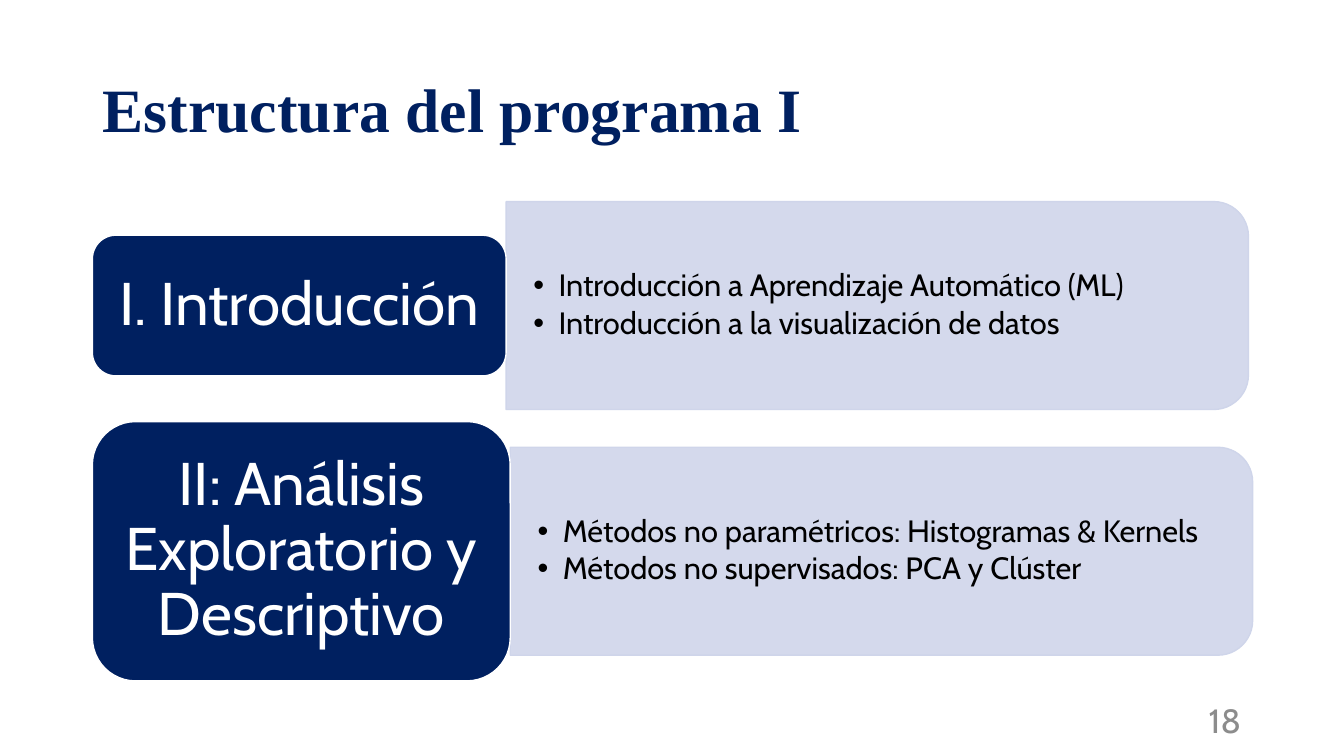
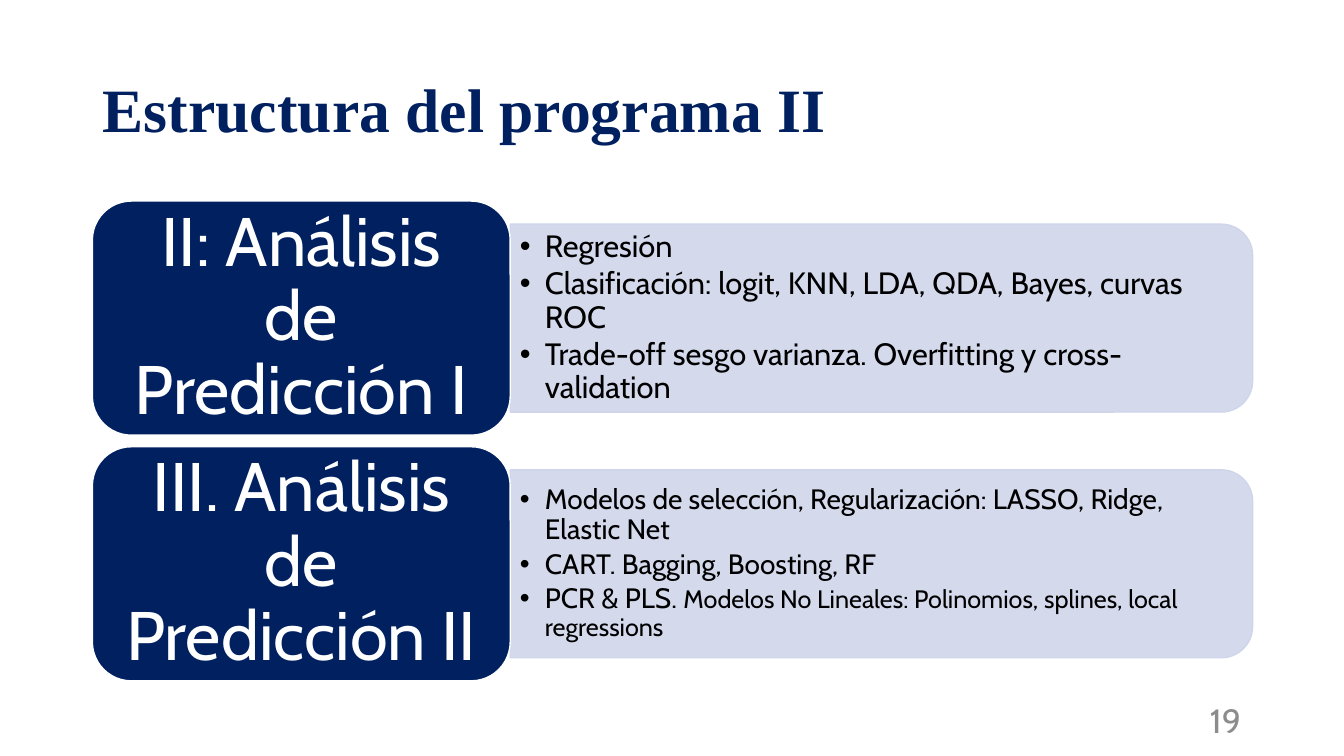
from pptx import Presentation
from pptx.dml.color import RGBColor
from pptx.enum.shapes import MSO_SHAPE as Preset
from pptx.enum.text import MSO_ANCHOR as Anchor, MSO_AUTO_SIZE as AutoSize, PP_ALIGN as Align
from pptx.util import Pt

EMU_PER_PX = 9525
WIDTH, HEIGHT = 1280, 720

# Shared style
NAVY, WHITE, BLACK, GREY = "002060", "FFFFFF", "000000", "8C8C8C"
PANEL_FILL, PANEL_LINE = "D4D9EC", "CFD5EA"
TITLE_FONT, BODY_FONT = "Times New Roman", "Cabin"

# Shared grid
LEFT = 88
PANEL_WIDTH = 707
LIST_INDENT = 24

# Each section: label, label width and height, vertical centre, bullets and their size.
# A bullet is a list of (text, size) runs or a plain string.
SLIDES = [
    {
        "title": "Estructura del programa I", "number": "18",
        "panel_height": 198, "label_size": 43, "label_insets": (17, 9), "list_insets": (26, 13),
        "sections": [
            ("I. Introducción", 394, 134, 291, 22, [
                "Introducción a Aprendizaje Automático (ML)",
                "Introducción a la visualización de datos"]),
            ("II: Análisis Exploratorio y Descriptivo", 398, 247, 525, 22, [
                "Métodos no paramétricos: Histogramas & Kernels",
                "Métodos no supervisados: PCA y Clúster"]),
        ],
    },
    {
        "title": "Estructura del programa II", "number": "19",
        "panel_height": 179, "label_size": 49, "label_insets": (19, 10), "list_insets": (9, 5),
        "sections": [
            ("II: Análisis de Predicción I", 398, 223, 303, 22, [
                "Regresión",
                "Clasificación: logit, KNN, LDA, QDA, Bayes, curvas ROC",
                "Trade-off sesgo varianza. Overfitting y cross-validation"]),
            ("III. Análisis de Predicción II", 398, 223, 537, 20, [
                "Modelos de selección, Regularización: LASSO, Ridge, Elastic Net",
                "CART. Bagging, Boosting, RF",
                [("PCR & PLS. ", 20),
                 ("Modelos No Lineales: Polinomios, splines, local regressions", 18)]]),
        ],
    },
]


def px(value):
    return round(value * EMU_PER_PX)


def color(hex_string):
    return RGBColor.from_string(hex_string)


def place(shape, left, top, width, height):
    shape.left, shape.top = px(left), px(top)
    shape.width, shape.height = px(width), px(height)


def write(shape, paragraphs, *, size, ink, font=BODY_FONT, bold=False, align=Align.LEFT,
          insets=(10, 5), line_spacing=0.9, space_after=0, indent=0):
    """Fill a shape with formatted paragraphs, centred vertically."""
    frame = shape.text_frame
    frame.word_wrap = True
    frame.auto_size = AutoSize.NONE
    frame.vertical_anchor = Anchor.MIDDLE
    frame.margin_left = frame.margin_right = px(insets[0])
    frame.margin_top = frame.margin_bottom = px(insets[1])
    for index, content in enumerate(paragraphs):
        paragraph = frame.add_paragraph() if index else frame.paragraphs[0]
        paragraph.alignment = align
        paragraph.line_spacing = line_spacing
        paragraph.space_before = Pt(0)
        paragraph.space_after = Pt(space_after)
        if indent:
            properties = paragraph._p.get_or_add_pPr()
            properties.set("marL", str(px(indent)))
            properties.set("indent", str(-px(indent)))
        runs = [(content, size)] if isinstance(content, str) else content
        for text, run_size in runs:
            run = paragraph.add_run()
            run.text = text
            run.font.name = font
            run.font.size = Pt(run_size)
            run.font.bold = bold
            run.font.color.rgb = color(ink)


def add_block(slide, preset, box, fill, line):
    shape = slide.shapes.add_shape(preset, *map(px, box))
    shape.shadow.inherit = False
    shape.fill.solid()
    shape.fill.fore_color.rgb = color(fill)
    shape.line.color.rgb = color(line)
    shape.line.width = Pt(1)
    return shape


def add_panel(slide, left, middle, height):
    """Panel with its two right corners rounded: a quarter-turned shape."""
    box = (left + (PANEL_WIDTH - height) / 2, middle - PANEL_WIDTH / 2, height, PANEL_WIDTH)
    panel = add_block(slide, Preset.ROUND_2_SAME_RECTANGLE, box, PANEL_FILL, PANEL_LINE)
    panel.rotation = 90
    return panel


def add_section(slide, body, section, style):
    label_text, width, height, middle, size, bullets = section
    panel_left, panel_height = LEFT + width, style["panel_height"]

    # Panel behind its list
    panel = add_panel(slide, panel_left, middle, panel_height)
    body.element.addprevious(panel.element)
    list_height = panel_height - 18
    place(body, panel_left, middle - list_height / 2, PANEL_WIDTH - 10, list_height)
    write(body, bullets, size=size, ink=BLACK, insets=style["list_insets"],
          space_after=3, indent=LIST_INDENT)

    # Label
    label = add_block(slide, Preset.ROUNDED_RECTANGLE,
                      (LEFT, middle - height / 2, width, height), NAVY, WHITE)
    write(label, [label_text], size=style["label_size"], ink=WHITE, align=Align.CENTER,
          insets=style["label_insets"])


def add_slide(presentation, content):
    slide = presentation.slides.add_slide(presentation.slide_layouts.get_by_name("Two Content"))
    title, *bodies = slide.placeholders

    # Title
    place(title, LEFT, 38, 1104, 139)
    write(title, [content["title"]], size=44, ink=NAVY, font=TITLE_FONT, bold=True)

    # Sections
    for body, section in zip(bodies, content["sections"]):
        add_section(slide, body, section, content)

    # Slide number
    number = slide.shapes.add_textbox(px(904), px(667), px(288), px(38))
    write(number, [content["number"]], size=24, ink=GREY, align=Align.RIGHT, line_spacing=1)


def main():
    presentation = Presentation()
    presentation.slide_width, presentation.slide_height = px(WIDTH), px(HEIGHT)
    for content in SLIDES:
        add_slide(presentation, content)
    presentation.save("out.pptx")


if __name__ == "__main__":
    main()
